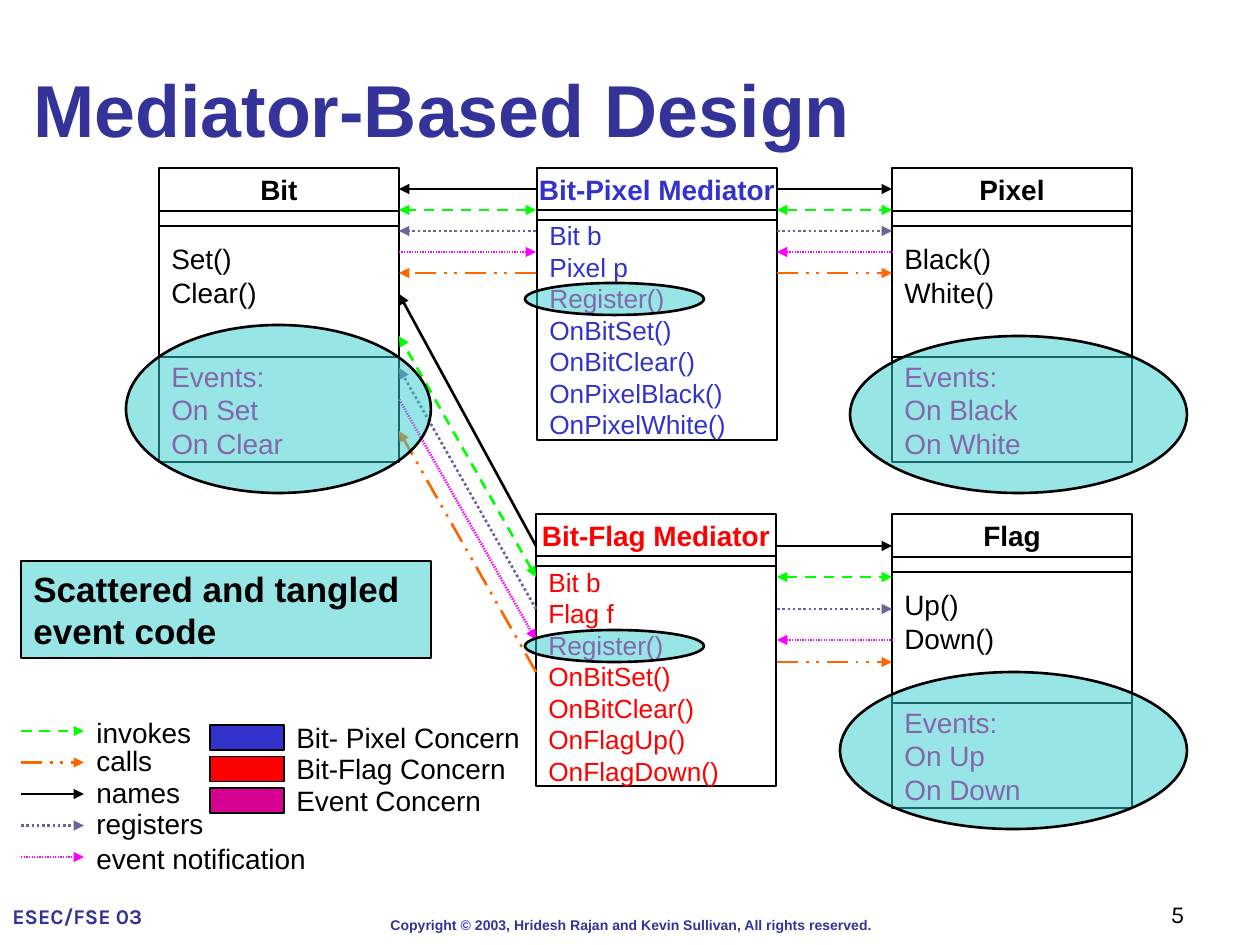
from lxml.etree import SubElement
from pptx import Presentation
from pptx.dml.color import RGBColor
from pptx.enum.shapes import MSO_CONNECTOR as Link, MSO_SHAPE as Shape
from pptx.enum.text import MSO_ANCHOR as Anchor, PP_ALIGN as Align
from pptx.oxml.ns import qn
from pptx.util import Emu, Pt

COLORS = {
    "black": "000000", "white": "FFFFFF", "navy": "333399", "blue": "3333CC",
    "red": "FF0000", "event": "D60093", "teal": "33CCCC", "green": "00FF00",
    "orange": "FF6600", "slate": "666699", "magenta": "FF00FF",
}
RELATIONS = {
    "invokes": ("green", "dash", True, True),
    "calls": ("orange", "lgDashDotDot", False, True),
    "names": ("black", None, False, True),
    "registers": ("slate", "sysDot", False, True),
    "event notification": ("magenta", "fine", True, False),
}
LINK_ORDER = ["names", "invokes", "registers", "event notification", "calls"]
CLASSES = [
    ("Bit", 159, 168, "Set()\nClear()", ["Events:", "On Set", "On Clear"], None),
    ("Pixel", 892, 168, "Black()\nWhite()", ["Events:", "On Black", "On White"], None),
    ("Flag", 892, 514, "Up()\nDown()", ["Events:", "On Up", "On Down"], "white"),
]
MEDIATORS = [
    ("Bit-Pixel Mediator", 537, 168, "blue",
     ["Bit b", "Pixel p", "Register()", "OnBitSet()", "OnBitClear()", "OnPixelBlack()", "OnPixelWhite()"]),
    ("Bit-Flag Mediator", 536, 514, "red",
     ["Bit b", "Flag f", "Register()", "OnBitSet()", "OnBitClear()", "OnFlagUp()", "OnFlagDown()"]),
]
CLASS_HEIGHTS = [43, 15, 131, 105]
MEDIATOR_HEIGHTS = [42, 10, 220]
CARD_WIDTH = 240
BLANK_LINE = 33
BIT_EDGE, MEDIATOR_LEFT, MEDIATOR_RIGHT, RIGHT_EDGE = 399, 536, 777, 892
TOP_ROWS = [189, 210, 231, 252, 273]
LINK_SETS = [
    (MEDIATOR_LEFT, TOP_ROWS, BIT_EDGE, TOP_ROWS),
    (MEDIATOR_RIGHT, TOP_ROWS, RIGHT_EDGE, TOP_ROWS),
    (MEDIATOR_LEFT, [546, 577, 609, 640, 672], BIT_EDGE, [294, 336, 368, 399, 431]),
    (MEDIATOR_RIGHT, [546, 577, 609, 640, 662], RIGHT_EDGE, [546, 577, 609, 640, 662]),
]
LEGEND_TOPS = [709, 737, 769, 800, 835]
CONCERNS = [("Bit- Pixel Concern", "blue"), ("Bit-Flag Concern", "red"), ("Event Concern", "event")]
HIGHLIGHTS = [
    (126, 325, 305, 168), (840, 672, 347, 157), (850, 336, 337, 157),
    (525, 283, 179, 32), (525, 630, 179, 32),
]


def px(value):
    return Emu(round(value * 914400 / 126))


def color(name):
    return RGBColor.from_string(COLORS[name])


def write(box, paragraphs, size, ink, bold=False, align=Align.LEFT, anchor=Anchor.TOP,
          wrap=True, font="Arial"):
    frame = box.text_frame
    frame.word_wrap = wrap
    frame.vertical_anchor = anchor
    for index, text in enumerate(paragraphs):
        para = frame.add_paragraph() if index else frame.paragraphs[0]
        para.alignment = align
        for number, line in enumerate(text.split("\n")):
            if number:
                para.add_line_break()
            span = para.add_run()
            span.text = line
            span.font.name = font
            span.font.size = Pt(size)
            span.font.bold = bold
            span.font.color.rgb = color("event" if line == "Register()" else ink)


def add_text(page, place, text, size, ink, **style):
    box = page.shapes.add_textbox(*map(px, place))
    write(box, [text], size, ink, **style)
    return box


def add_box(page, place, fill=None, weight=1.5, kind=Shape.RECTANGLE):
    box = page.shapes.add_shape(kind, *map(px, place))
    box.shadow.inherit = False
    box.line.color.rgb = color("black")
    box.line.width = Pt(weight)
    if fill:
        box.fill.solid()
        box.fill.fore_color.rgb = color(fill)
    else:
        box.fill.background()
    return box


def add_highlight(page, place, kind):
    box = add_box(page, place, "teal", kind=kind)
    tint = box.fill._xPr.find(qn("a:solidFill"))[0]
    SubElement(tint, qn("a:alpha")).set("val", "50000")
    return box


def add_link(page, relation, start, end, head, tail):
    ink, dash = RELATIONS[relation][:2]
    link = page.shapes.add_connector(Link.STRAIGHT, *map(px, start + end))
    link.line.color.rgb = color(ink)
    link.line.width = Pt(1.5)
    line = link.line._get_or_add_ln()
    if dash == "fine":
        stop = SubElement(SubElement(line, qn("a:custDash")), qn("a:ds"))
        stop.set("d", "50000")
        stop.set("sp", "50000")
    elif dash:
        SubElement(line, qn("a:prstDash")).set("val", dash)
    for tag, shown in (("a:headEnd", head), ("a:tailEnd", tail)):
        if shown:
            SubElement(line, qn(tag)).set("type", "triangle")
    SubElement(link._element.spPr, qn("a:effectLst"))


def add_stack(page, left, top, heights, fills):
    boxes = []
    for height, fill in zip(heights, fills):
        boxes.append(add_box(page, (left, top, CARD_WIDTH, height), fill))
        top += height
    return boxes


def main():
    deck = Presentation()
    deck.slide_width, deck.slide_height = px(1260), px(945)
    page = deck.slides.add_slide(deck.slide_layouts[6])
    heading = dict(bold=True, align=Align.CENTER, anchor=Anchor.MIDDLE, wrap=False)
    listing = dict(anchor=Anchor.MIDDLE, wrap=False)

    footer = add_text(page, (378, 910, 508, 30), "Copyright ", 8, "navy", bold=True, wrap=False)
    for text, ink in (("©", "blue"), (" 2003, Hridesh Rajan and Kevin Sullivan, All rights reserved.", "navy")):
        span = footer.text_frame.paragraphs[0].add_run()
        span.text = text
        span.font.name, span.font.size, span.font.bold = "Arial", Pt(8), True
        span.font.color.rgb = color(ink)
    add_text(page, (21, 0, 1197, 158), "Mediator-Based Design", 42, "navy", bold=True, anchor=Anchor.BOTTOM)

    for name, left, top, methods, events, fill in CLASSES:
        header, strip, body, footing = add_stack(page, left, top, CLASS_HEIGHTS, [None, None, None, fill])
        write(header, [name], 16, "black", **heading)
        write(body, [methods], 16, "black", **listing)
        body.text_frame.margin_bottom = px(6 + BLANK_LINE)
        write(footing, events, 16, "event", **listing)
    for name, left, top, ink, members in MEDIATORS:
        header, strip, body = add_stack(page, left, top, MEDIATOR_HEIGHTS, [None, None, "white"])
        write(header, [name], 16, ink, **heading)
        write(body, members, 15, ink, **listing)

    for start_x, start_rows, end_x, end_rows in LINK_SETS:
        for relation, start_y, end_y in zip(LINK_ORDER, start_rows, end_rows):
            head, tail = RELATIONS[relation][2:]
            add_link(page, relation, (start_x, start_y), (end_x, end_y), head, tail)

    for index, (relation, top) in enumerate(zip(RELATIONS, LEGEND_TOPS)):
        y = 731 + index * 63 / 2
        add_link(page, relation, (21, y), (84, y), False, True)
        add_text(page, (84, top, 252 if index == 4 else 147, 47), relation, 16, "black")
    for index, (label, ink) in enumerate(CONCERNS):
        y = 725 + index * 63 / 2
        add_box(page, (210, y, 74, 25), ink, 0.75)
        add_text(page, (284, y - 11, 284, 47), label, 16, "black")

    for place in HIGHLIGHTS:
        add_highlight(page, place, Shape.OVAL)
    note = add_highlight(page, (21, 561, 410, 97), Shape.RECTANGLE)
    write(note, ["Scattered and tangled event code"], 20, "black", bold=True)

    add_text(page, (0, 872, 179, 63), "ESEC/FSE 03", 12, "navy", bold=True, anchor=Anchor.BOTTOM, font="Karla")
    add_text(page, (935, 872, 262, 63), "5", 14, "black", align=Align.RIGHT, anchor=Anchor.BOTTOM, font="Karla")
    deck.save("out.pptx")


if __name__ == "__main__":
    main()
